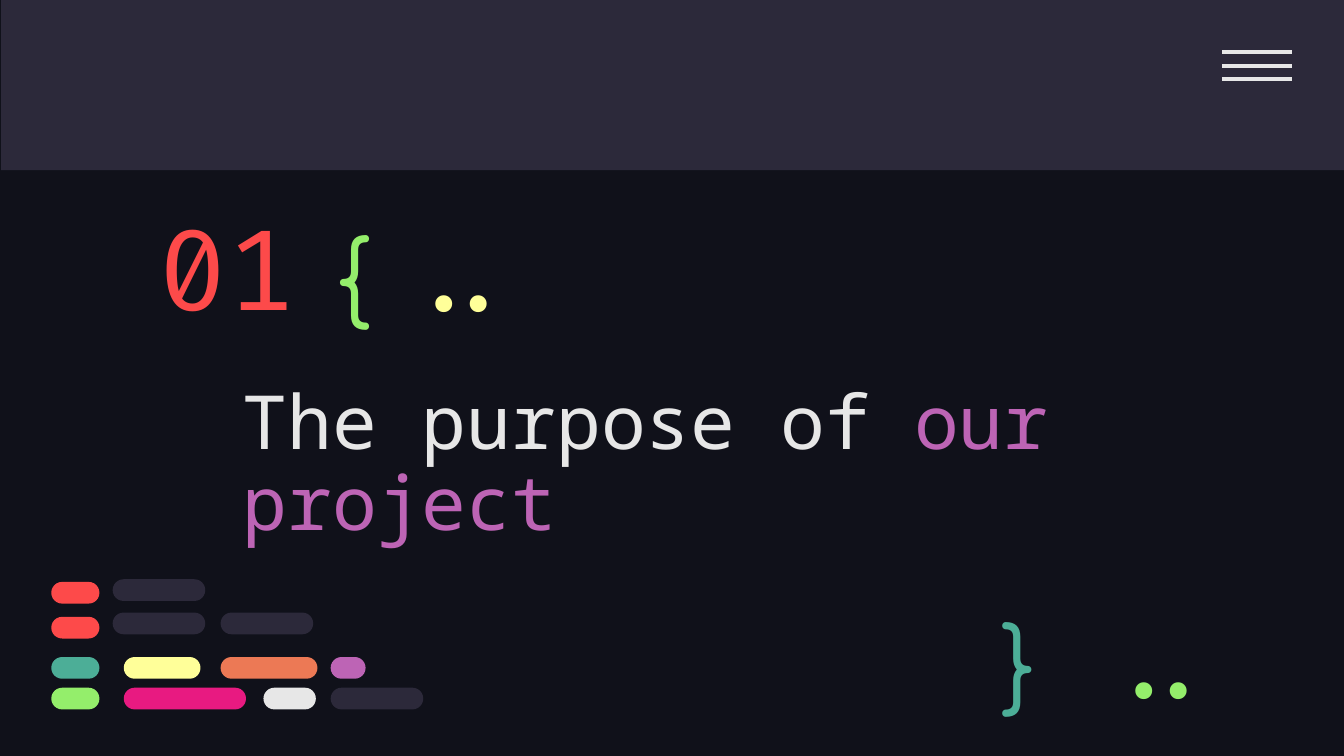
from lxml.etree import SubElement
from pptx import Presentation
from pptx.dml.color import RGBColor
from pptx.enum.shapes import MSO_CONNECTOR, MSO_SHAPE
from pptx.enum.text import MSO_ANCHOR as Anchor, MSO_AUTO_SIZE, PP_ALIGN as Align
from pptx.oxml.ns import qn
from pptx.util import Cm, Pt

NIGHT = RGBColor(0x10, 0x11, 0x1A)
SLATE = RGBColor(0x2C, 0x29, 0x3A)
WHITE = RGBColor(0xE7, 0xE7, 0xE7)
RED = RGBColor(0xFD, 0x4A, 0x4A)
GREEN = RGBColor(0x94, 0xEE, 0x6B)
TEAL = RGBColor(0x4C, 0xAE, 0x97)
YELLOW = RGBColor(0xFF, 0xFF, 0x99)
ORANGE = RGBColor(0xEC, 0x79, 0x55)
PURPLE = RGBColor(0xBD, 0x64, 0xB5)
PINK = RGBColor(0xE8, 0x1A, 0x81)

# All lengths are in centimetres.
TITLE_BOX = (4.34, 7.14, 18.44, 3.33)
TITLE_RUNS = [("The purpose of ", WHITE), ("our project", PURPLE)]

# text, box, font, size, colour, alignment, anchor
LABELS = [
    ("01", (2.74, 3.76, 4.6, 2.54), "Fira Code", 60, RED, Align.LEFT, Anchor.MIDDLE),
    ("{", (6.1, 3.81, 1.96, 2.41), "Comfortaa", 50, GREEN, Align.LEFT, Anchor.TOP),
    ("}", (18.67, 11.13, 1.45, 2.11), "Comfortaa", 50, TEAL, Align.LEFT, Anchor.TOP),
    ("..", (20.57, 11.73, 2.72, 1.52), "Fira Code", 50, GREEN, Align.RIGHT, Anchor.MIDDLE),
    ("..", (7.34, 4.42, 2.72, 1.52), "Fira Code", 50, YELLOW, Align.RIGHT, Anchor.MIDDLE),
]

# top of the row: (left, width, colour) of each pill
PILL_HEIGHT = 0.41
PILL_ROWS = {
    10.95: [(2.13, 1.75, SLATE)],
    11.0: [(0.97, 0.91, RED)],
    11.58: [(2.13, 1.75, SLATE), (4.17, 1.75, SLATE)],
    11.66: [(0.97, 0.91, RED)],
    12.42: [(0.97, 0.91, TEAL), (2.34, 1.45, YELLOW), (4.17, 1.83, ORANGE), (6.25, 0.66, PURPLE)],
    13.0: [(0.97, 0.91, GREEN), (2.34, 2.31, PINK), (4.98, 0.99, WHITE), (6.25, 1.75, SLATE)],
}

MENU_LEFT, MENU_RIGHT, MENU_TOP, MENU_STEP = 23.09, 24.41, 0.99, 0.25


def add_filled(shapes, kind, box, colour):
    shape = shapes.add_shape(kind, *map(Cm, box))
    shape.shadow.inherit = False
    shape.fill.solid()
    shape.fill.fore_color.rgb = colour
    shape.line.fill.background()
    return shape


def write(shape, runs, font, size, align=Align.LEFT, anchor=Anchor.MIDDLE, spacing=1.0):
    """Fill the shape with one paragraph of (text, colour) runs."""
    frame = shape.text_frame
    settings = {"word_wrap": True, "auto_size": MSO_AUTO_SIZE.NONE, "vertical_anchor": anchor}
    settings |= {f"margin_{side}": Cm(0.25) for side in ("left", "top", "right", "bottom")}
    for name, value in settings.items():
        setattr(frame, name, value)
    paragraph = frame.paragraphs[0]
    paragraph.alignment = align
    paragraph.line_spacing = spacing
    for text, colour in runs:
        run = paragraph.add_run()
        run.text = text
        run.font.name = font
        run.font.size = Pt(size)
        run.font.color.rgb = colour


def add_menu_icon(shapes):
    for row in range(3):
        y = Cm(MENU_TOP + row * MENU_STEP)
        line = shapes.add_connector(MSO_CONNECTOR.STRAIGHT, Cm(MENU_LEFT), y, Cm(MENU_RIGHT), y)
        line.line.color.rgb = WHITE
        line.line.width = Pt(2.25)
        SubElement(line._element.spPr, qn("a:effectLst"))


def main():
    presentation = Presentation()
    presentation.slide_width, presentation.slide_height = Cm(25.4), Cm(14.29)
    slide = presentation.slides.add_slide(presentation.slide_layouts[5])
    slide.background.fill.solid()
    slide.background.fill.fore_color.rgb = NIGHT
    shapes = slide.shapes

    add_filled(shapes, MSO_SHAPE.RECTANGLE, (0.02, 0, 25.4, 3.22), SLATE)
    add_menu_icon(shapes)

    title = shapes.title
    title.left, title.top, title.width, title.height = map(Cm, TITLE_BOX)
    write(title, TITLE_RUNS, "Noto Sans Mono", 40, spacing=0.9)

    for text, box, font, size, colour, align, anchor in LABELS:
        write(shapes.add_textbox(*map(Cm, box)), [(text, colour)], font, size, align, anchor)

    for top, pills in PILL_ROWS.items():
        for left, width, colour in pills:
            box = (left, top, width, PILL_HEIGHT)
            pill = add_filled(shapes, MSO_SHAPE.ROUNDED_RECTANGLE, box, colour)
            pill.adjustments[0] = 0.5

    presentation.save("out.pptx")


if __name__ == "__main__":
    main()
